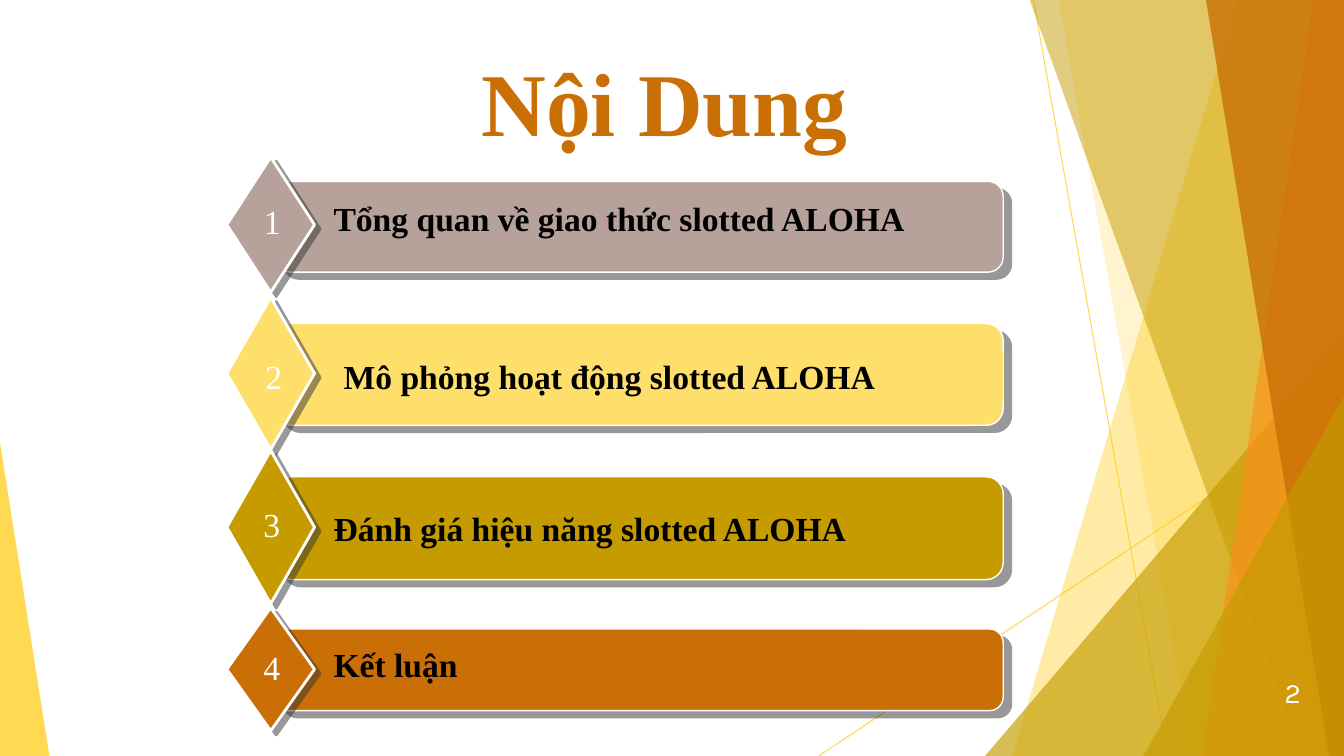
"""Build the contents slide of a talk about slotted ALOHA."""
from lxml.etree import SubElement
from pptx import Presentation
from pptx.dml.color import RGBColor
from pptx.enum.shapes import MSO_CONNECTOR, MSO_SHAPE as SHAPE
from pptx.enum.text import MSO_ANCHOR as ANCHOR, PP_ALIGN as ALIGN
from pptx.oxml.ns import qn
from pptx.util import Inches, Pt

WHITE = RGBColor(0xFF, 0xFF, 0xFF)
BLACK = RGBColor(0x00, 0x00, 0x00)
YELLOW = RGBColor(0xFF, 0xCA, 0x08)
LIGHT_YELLOW = RGBColor(0xFF, 0xDF, 0x6B)
GOLD = RGBColor(0xC5, 0x9B, 0x00)
ORANGE = RGBColor(0xF8, 0x93, 0x1D)
RUST = RGBColor(0xCA, 0x6F, 0x06)
TAUPE = RGBColor(0xB6, 0xA2, 0x9A)
SHADOW = RGBColor(0x33, 0x33, 0x33)
SERIF = "Times New Roman"
RIGHT, TOP, BOTTOM = 13.33, -0.01, 7.5

RAYS = [((10.25, 0), (11.58, BOTTOM)), ((RIGHT, 4.03), (8.12, BOTTOM))]
# Each band: top-left x, bottom-left x, colour, opacity.
BACK_BANDS = [(12.28, 10.04, YELLOW, 36), (10.5, 11.83, YELLOW, 20)]
FRONT_BANDS = [
    (10.21, 12.91, GOLD, 50),
    (13.03, 11.92, ORANGE, 70),
    (11.96, 13.18, RUST, 80),
]
# Each item: text, colour, bar (top, height), diamond (top, height),
# label (left, top), number (left, top, width).
ITEMS = [
    ("Tổng quan về giao thức slotted ALOHA", TAUPE,
     (1.8, 0.9), (1.56, 1.34), (3.21, 1.91), (2.39, 1.94, 0.62)),
    ("Mô phỏng hoạt động slotted ALOHA", LIGHT_YELLOW,
     (3.21, 1.01), (2.95, 1.51), (3.31, 3.48), (2.28, 3.48, 0.87)),
    ("Đánh giá hiệu năng slotted ALOHA", GOLD,
     (4.73, 1.02), (4.47, 1.52), (3.21, 4.99), (2.35, 4.95, 0.69)),
    ("Kết luận", RUST,
     (6.24, 0.81), (6.03, 1.22), (3.21, 6.34), (2.26, 6.37, 0.87)),
]


def set_opacity(color_element, percent):
    """Make a colour element partly transparent."""
    SubElement(color_element, qn("a:alpha"), val=str(percent * 1000))


def paint(shape, color, opacity=100):
    """Give a shape a plain fill without outline or shadow."""
    shape.shadow.inherit = False
    shape.fill.solid()
    shape.fill.fore_color.rgb = color
    shape.line.fill.background()
    if opacity < 100:
        fill = shape.element.spPr.find(qn("a:solidFill"))
        set_opacity(fill.find(qn("a:srgbClr")), opacity)


def add_preset(shapes, preset, box, color, opacity=100, adjustment=None):
    """Add a filled preset shape in a box given in inches."""
    shape = shapes.add_shape(preset, *map(Inches, box))
    paint(shape, color, opacity)
    if adjustment is not None:
        shape.adjustments[0] = adjustment
    return shape


def add_band(shapes, top_x, bottom_x, color, opacity):
    """Add a slanted band that reaches the right slide edge."""
    builder = shapes.build_freeform(Inches(top_x), Inches(TOP))
    corners = [(RIGHT, TOP), (RIGHT, BOTTOM), (bottom_x, BOTTOM)]
    builder.add_line_segments([(Inches(x), Inches(y)) for x, y in corners])
    paint(builder.convert_to_shape(), color, opacity)


def add_ray(shapes, start, end):
    """Add a thin translucent line."""
    ray = shapes.add_connector(
        MSO_CONNECTOR.STRAIGHT, *map(Inches, (*start, *end)))
    ray.line.color.rgb = YELLOW
    ray.line.width = Pt(0.75)
    properties = ray.element.spPr
    set_opacity(next(properties.iter(qn("a:srgbClr"))), 70)
    SubElement(properties, qn("a:effectLst"))


def outline_with_shadow(shape, width, distance, angle):
    """Add a white outline and a hard offset shadow."""
    shape.line.color.rgb = WHITE
    shape.line.width = Pt(width)
    effects = shape.element.spPr.find(qn("a:effectLst"))
    shadow = SubElement(
        effects, qn("a:outerShdw"), blurRad="0", dist=str(Pt(distance)),
        dir=str(angle * 60000), algn="ctr", rotWithShape="0")
    set_opacity(SubElement(shadow, qn("a:srgbClr"), val=str(SHADOW)), 50)


def write(shape, text, size, color, align=ALIGN.LEFT, bold=False,
          font=SERIF, anchor=ANCHOR.TOP):
    """Write one formatted run into a shape."""
    frame = shape.text_frame
    frame.word_wrap = True
    frame.vertical_anchor = anchor
    paragraph = frame.paragraphs[0]
    paragraph.alignment = align
    run = paragraph.add_run()
    run.text = text
    run.font.name = font
    run.font.size = Pt(size)
    run.font.bold = bold
    run.font.color.rgb = color


def add_text(shapes, box, *args, **options):
    """Add a text box with one run."""
    text_box = shapes.add_textbox(*map(Inches, box))
    write(text_box, *args, **options)
    return text_box


def add_backdrop(slide):
    """Add the translucent facets at both slide edges."""
    shapes = slide.shapes.add_group_shape().shapes
    for start, end in RAYS:
        add_ray(shapes, start, end)
    for band in BACK_BANDS:
        add_band(shapes, *band)
    add_preset(shapes, SHAPE.ISOSCELES_TRIANGLE, (9.77, 3.33, 3.56, 4.17), GOLD, 66, 1)
    for band in FRONT_BANDS:
        add_band(shapes, *band)
    add_preset(shapes, SHAPE.ISOSCELES_TRIANGLE, (11.34, 3.93, 1.99, 3.57), GOLD, 66, 1)
    add_preset(shapes, SHAPE.ISOSCELES_TRIANGLE, (0, 4.39, 0.49, 3.11), YELLOW, 70, 0)


def add_item(slide, number, text, color, bar, diamond, label, number_box):
    """Add one numbered bar of the contents list."""
    shapes = slide.shapes.add_group_shape().shapes
    bar_shape = add_preset(shapes, SHAPE.ROUNDED_RECTANGLE,
                           (2.73, bar[0], 7.22, bar[1]), color, adjustment=0.167)
    outline_with_shadow(bar_shape, 1, 7.8, 40)
    diamond_shape = add_preset(shapes, SHAPE.DIAMOND,
                               (2.25, diamond[0], 0.87, diamond[1]), color)
    outline_with_shadow(diamond_shape, 2, 5, 37)
    label_shape = add_preset(shapes, SHAPE.RECTANGLE, (*label, 6.64, 0.5), color)
    write(label_shape, text, 24, BLACK, bold=True)
    add_text(shapes, (*number_box, 0.5), str(number), 24, WHITE, ALIGN.CENTER)


def main():
    """Build and save the slide."""
    presentation = Presentation()
    presentation.slide_width = Inches(13.33)
    presentation.slide_height = Inches(7.5)
    slide = presentation.slides.add_slide(presentation.slide_layouts[6])
    add_backdrop(slide)
    title = add_text(slide.shapes, (1.2, 0.31, 11, 1), "Nội Dung ", 64, RUST,
                     ALIGN.CENTER, bold=True)
    title.text_frame.margin_top = Inches(0.16)
    for number, item in enumerate(ITEMS, 1):
        add_item(slide, number, *item)
    add_text(slide.shapes, (12.25, 6.67, 0.75, 0.4), "2", 20, WHITE,
             ALIGN.RIGHT, font="Karla", anchor=ANCHOR.MIDDLE)
    presentation.save("out.pptx")


if __name__ == "__main__":
    main()
